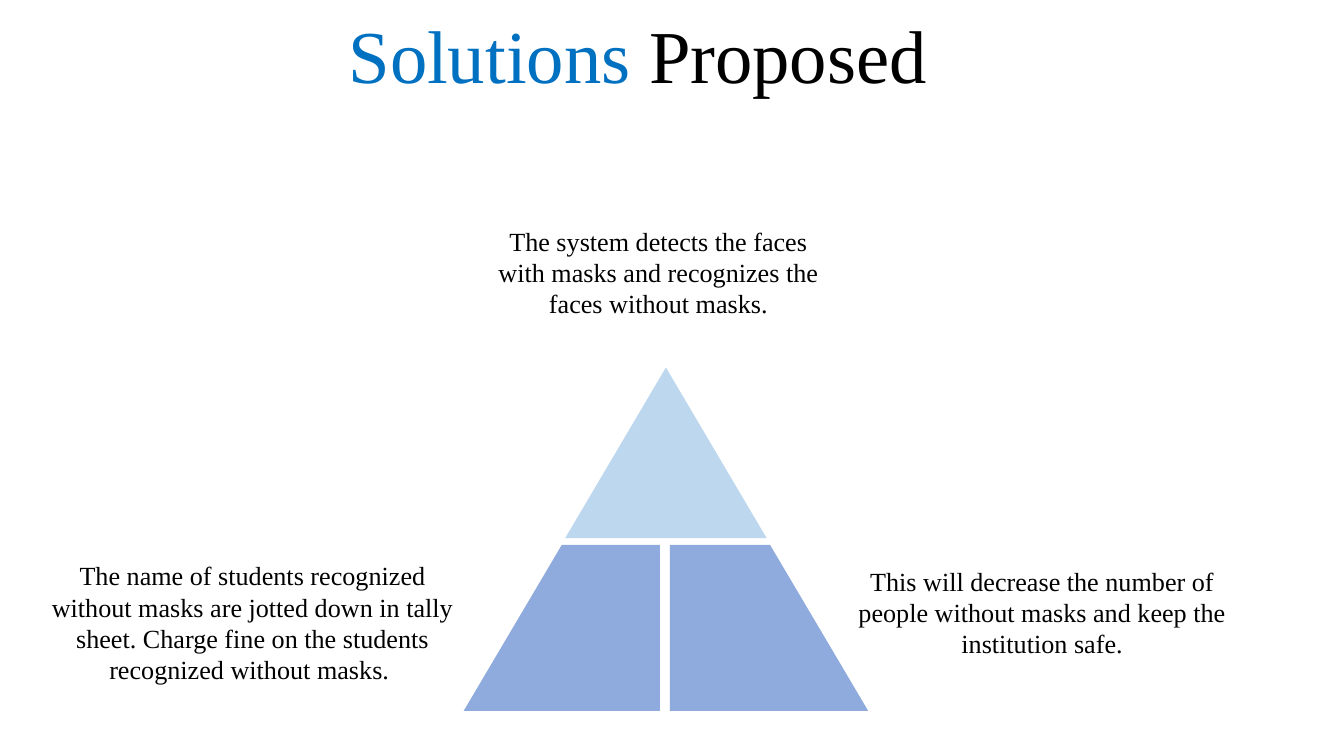
"""Build the Solutions Proposed slide with its three-part pyramid."""
from dataclasses import dataclass

import pptx
import pptx.dml.color
import pptx.enum.text
import pptx.util

SCALE = 4572


@dataclass(frozen=True)
class Theme:
    font: str = "Times New Roman"
    title_size: int = 40
    body_size: int = 14
    text: str = "000000"
    accent: str = "0070C0"
    tip: str = "BDD7EE"
    base: str = "8FAADC"


@dataclass(frozen=True)
class Box:
    x: int
    y: int
    w: int
    h: int


@dataclass(frozen=True)
class Caption:
    box: Box
    text: str


@dataclass(frozen=True)
class Piece:
    points: tuple[tuple[int, int], ...]
    color: str


THEME = Theme()
TITLE = Box(499, 18, 1136, 168)
TITLE_RUNS = [("Solutions ", THEME.accent), ("Proposed", THEME.text)]
PIECES = [
    Piece(((991, 547), (1141, 801), (841, 801)), THEME.tip),
    Piece(((997, 811), (1146, 811), (1292, 1058), (997, 1058)), THEME.base),
    Piece(((836, 811), (982, 811), (982, 1058), (690, 1058)), THEME.base),
]
CAPTIONS = [
    Caption(Box(710, 325, 540, 162),
            "The system detects the faces with masks and recognizes the faces without masks."),
    Caption(Box(1234, 831, 634, 166),
            "This will decrease the number of people without masks and keep the institution safe."),
    Caption(Box(38, 823, 676, 208),
            "The name of students recognized without masks are jotted down in tally sheet. "
            "Charge fine on the students recognized without masks. "),
]


def px(n: int) -> pptx.util.Emu:
    return pptx.util.Emu(n * SCALE)


def rgb(color: str) -> pptx.dml.color.RGBColor:
    return pptx.dml.color.RGBColor.from_string(color)


def add_text(s, box: Box, runs: list[tuple[str, str]], *, size: int,
             align=pptx.enum.text.PP_ALIGN.LEFT, spacing: float = 1.0) -> None:
    sp = s.shapes.add_textbox(px(box.x), px(box.y), px(box.w), px(box.h))
    tf = sp.text_frame
    tf.word_wrap = True
    p = tf.paragraphs[0]
    p.alignment = align
    p.line_spacing = spacing
    for text, color in runs:
        r = p.add_run()
        r.text = text
        r.font.name = THEME.font
        r.font.size = pptx.util.Pt(size)
        r.font.color.rgb = rgb(color)


def add_piece(s, piece: Piece) -> None:
    (x, y), *rest = piece.points
    fb = s.shapes.build_freeform(x, y, scale=SCALE)
    fb.add_line_segments(rest, close=True)
    sp = fb.convert_to_shape()
    sp.shadow.inherit = False
    sp.fill.solid()
    sp.fill.fore_color.rgb = rgb(piece.color)
    sp.line.fill.background()


def main() -> None:
    prs = pptx.Presentation()
    prs.slide_width, prs.slide_height = px(2000), px(1125)
    s = prs.slides.add_slide(prs.slide_layouts[6])
    add_text(s, TITLE, TITLE_RUNS, size=THEME.title_size, spacing=0.9)
    for piece in PIECES:
        add_piece(s, piece)
    for caption in CAPTIONS:
        add_text(s, caption.box, [(caption.text, THEME.text)], size=THEME.body_size,
                 align=pptx.enum.text.PP_ALIGN.CENTER)
    prs.save("out.pptx")


if __name__ == "__main__":
    main()
